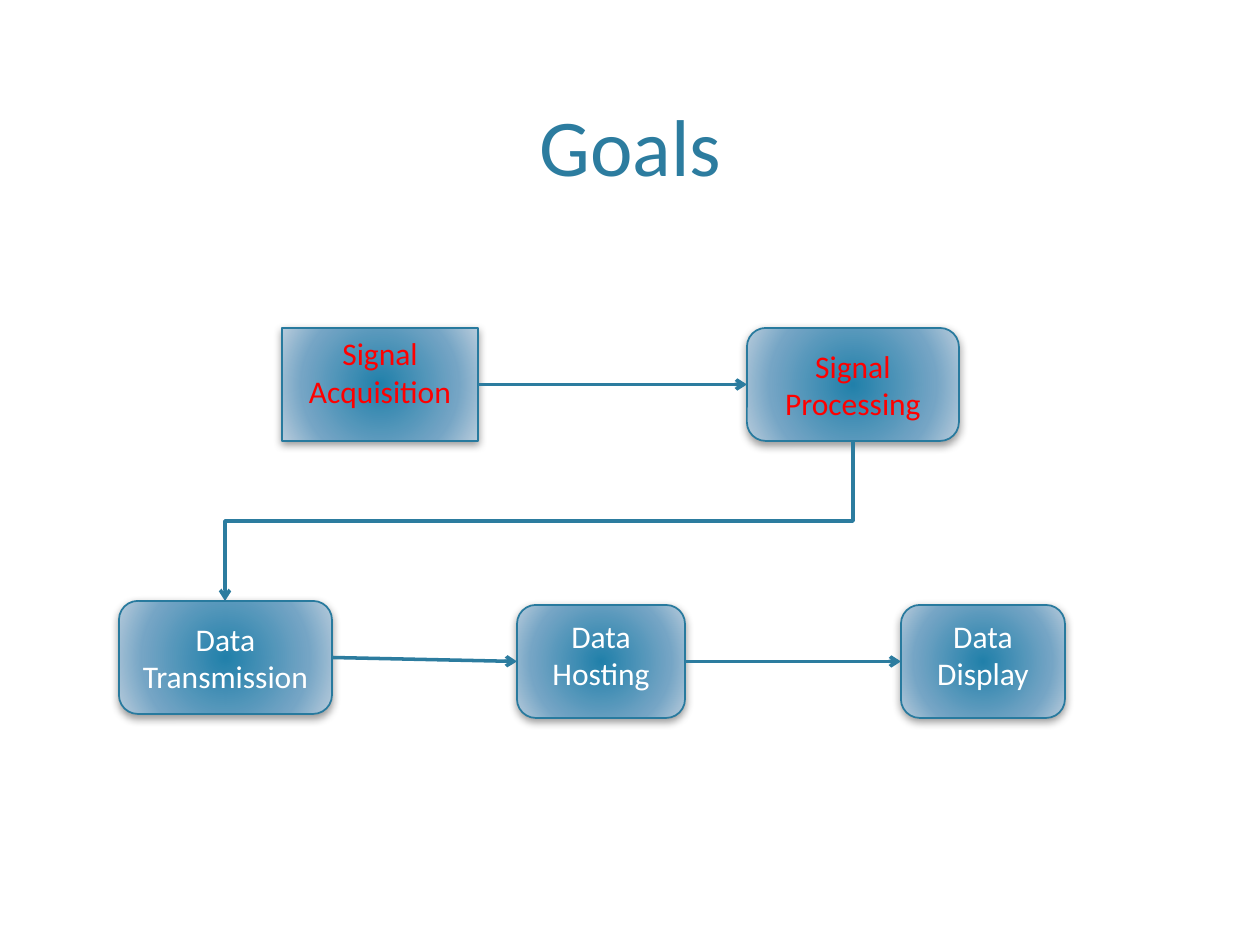
from dataclasses import dataclass
from typing import Any

from lxml.etree import SubElement
from pptx import Presentation
from pptx.dml.color import RGBColor
from pptx.enum.shapes import MSO_CONNECTOR, MSO_SHAPE
from pptx.enum.text import MSO_ANCHOR, MSO_AUTO_SIZE, PP_ALIGN
from pptx.oxml import parse_xml
from pptx.oxml.ns import nsdecls, qn
from pptx.util import Pt

SCALE = 914400 // 126  # EMU in one px


@dataclass(frozen=True)
class Theme:
    font: str = "Calibri"
    head: int = 46
    body: int = 18
    main: str = "2C7C9F"
    edge: str = "287A9E"
    hot: str = "FF0000"
    plain: str = "FFFFFF"
    shade: str = "000000"
    stops: tuple = ((0, "2180AA"), (69, "75A5C5"), (100, "B8CCDC"))


@dataclass(frozen=True)
class Box:
    text: str
    left: int
    top: int
    width: int
    color: str
    middle: bool = False
    form: Any = MSO_SHAPE.ROUNDED_RECTANGLE


THEME = Theme()
HIGH = 113  # all boxes share one height
TOP, RIGHT = 0, 3  # connection sites

BOXES = {
    "acquire": Box("Signal Acquisition", 282, 328, 196, THEME.hot, form=MSO_SHAPE.RECTANGLE),
    "process": Box("Signal Processing", 747, 328, 212, THEME.hot, True),
    "send": Box("Data Transmission", 119, 601, 213, THEME.plain, True),
    "show": Box("Data Display", 901, 605, 164, THEME.plain),
    "host": Box("Data Hosting", 517, 605, 168, THEME.plain),
}
FLOWS = (("acquire", "process"), ("send", "host"), ("host", "show"))


def px(*sizes: int) -> list[int]:
    return [size * SCALE for size in sizes]


def apply(target: Any, values: dict) -> None:
    for name, value in values.items():
        setattr(target, name, value)


def write(frame: Any, text: str, size: int, color: str, anchor: Any) -> None:
    apply(frame, {"text": text, "word_wrap": True,
                  "auto_size": MSO_AUTO_SIZE.NONE, "vertical_anchor": anchor})
    line = frame.paragraphs[0]
    line.alignment = PP_ALIGN.CENTER
    font = line.runs[0].font
    apply(font, {"name": THEME.font, "size": Pt(size)})
    font.color.rgb = RGBColor.from_string(color)


def glow(shape: Any) -> None:
    """Fill from the centre outwards."""
    stops = "".join(f'<a:gs pos="{spot * 1000}"><a:srgbClr val="{color}"/></a:gs>'
                    for spot, color in THEME.stops)
    fill = parse_xml(
        f'<a:gradFill {nsdecls("a")} rotWithShape="1"><a:gsLst>{stops}</a:gsLst>'
        '<a:path path="circle"><a:fillToRect l="100000" t="100000" r="100000" b="100000"/>'
        '</a:path></a:gradFill>')
    shape.fill.background()
    props = shape._element.spPr
    props.replace(props.find(qn("a:noFill")), fill)


def shadow(shape: Any) -> None:
    shape.shadow.inherit = False
    shape._element.spPr.find(qn("a:effectLst")).append(parse_xml(
        f'<a:outerShdw {nsdecls("a")} blurRad="{Pt(5)}" dist="{Pt(2)}" dir="5400000" '
        f'rotWithShape="0"><a:srgbClr val="{THEME.shade}"><a:alpha val="40000"/>'
        '</a:srgbClr></a:outerShdw>'))


def draw(slide: Any, box: Box) -> Any:
    shape = slide.shapes.add_shape(box.form, *px(box.left, box.top, box.width, HIGH))
    glow(shape)
    shadow(shape)
    shape.line.width = Pt(1)
    shape.line.color.rgb = RGBColor.from_string(THEME.edge)
    anchor = MSO_ANCHOR.MIDDLE if box.middle else MSO_ANCHOR.TOP
    write(shape.text_frame, box.text, THEME.body, box.color, anchor)
    return shape


def style(link: Any) -> None:
    link.line.width = Pt(2)
    link.line.color.rgb = RGBColor.from_string(THEME.main)
    props = link._element.spPr
    SubElement(props.find(qn("a:ln")), qn("a:tailEnd"), type="arrow")
    SubElement(props, qn("a:effectLst"))


def join(slide: Any, start: Any, end: Any) -> None:
    link = slide.shapes.add_connector(MSO_CONNECTOR.STRAIGHT, 0, 0, 0, 0)
    link.begin_connect(start, RIGHT)
    link.end_connect(end, 1)
    style(link)


def drop(slide: Any, start: Box, end: Box) -> None:
    """Elbow from the bottom of one box to the top of a lower one on its left."""
    x1, y1 = start.left + start.width // 2, start.top + HIGH
    x2, y2 = end.left + end.width // 2, end.top
    wide, tall = y2 - y1, x1 - x2  # swapped, since a quarter turn follows
    left, top = (x1 + x2 - wide) // 2, (y1 + y2 - tall) // 2
    link = slide.shapes.add_connector(
        MSO_CONNECTOR.ELBOW, *px(left, top, left + wide, top + tall))
    link._element.spPr.find(qn("a:xfrm")).set("rot", "5400000")
    style(link)


def main() -> None:
    deck = Presentation()
    apply(deck, dict(zip(("slide_width", "slide_height"), px(1260, 945))))
    slide = deck.slides.add_slide(deck.slide_layouts[5])

    # Title
    title = slide.shapes.title
    apply(title, dict(zip(("left", "top", "width", "height"), px(76, 15, 1109, 184))))
    write(title.text_frame, "Goals", THEME.head, THEME.main, MSO_ANCHOR.BOTTOM)

    # Steps
    steps = {key: draw(slide, box) for key, box in BOXES.items()}

    # Arrows
    for start, end in FLOWS:
        join(slide, steps[start], steps[end])
    drop(slide, BOXES["process"], BOXES["send"])

    deck.save("out.pptx")


if __name__ == "__main__":
    main()
